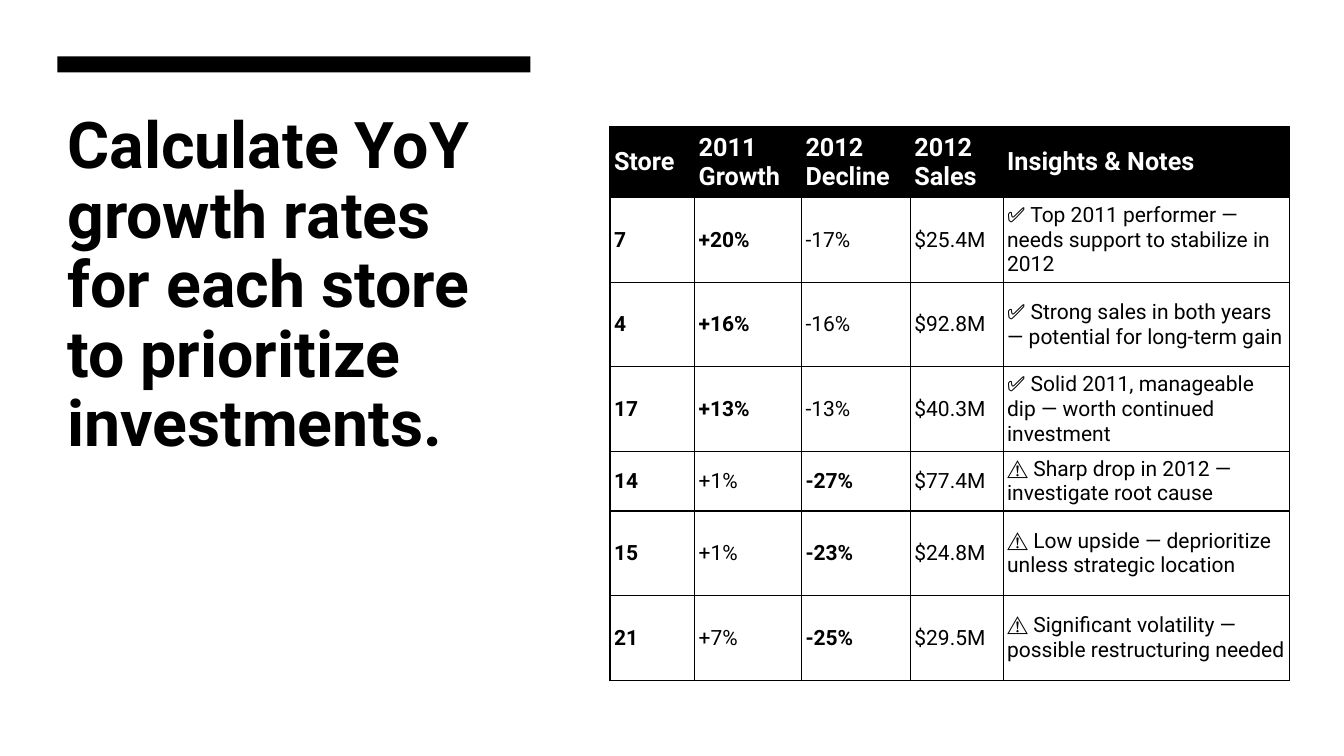
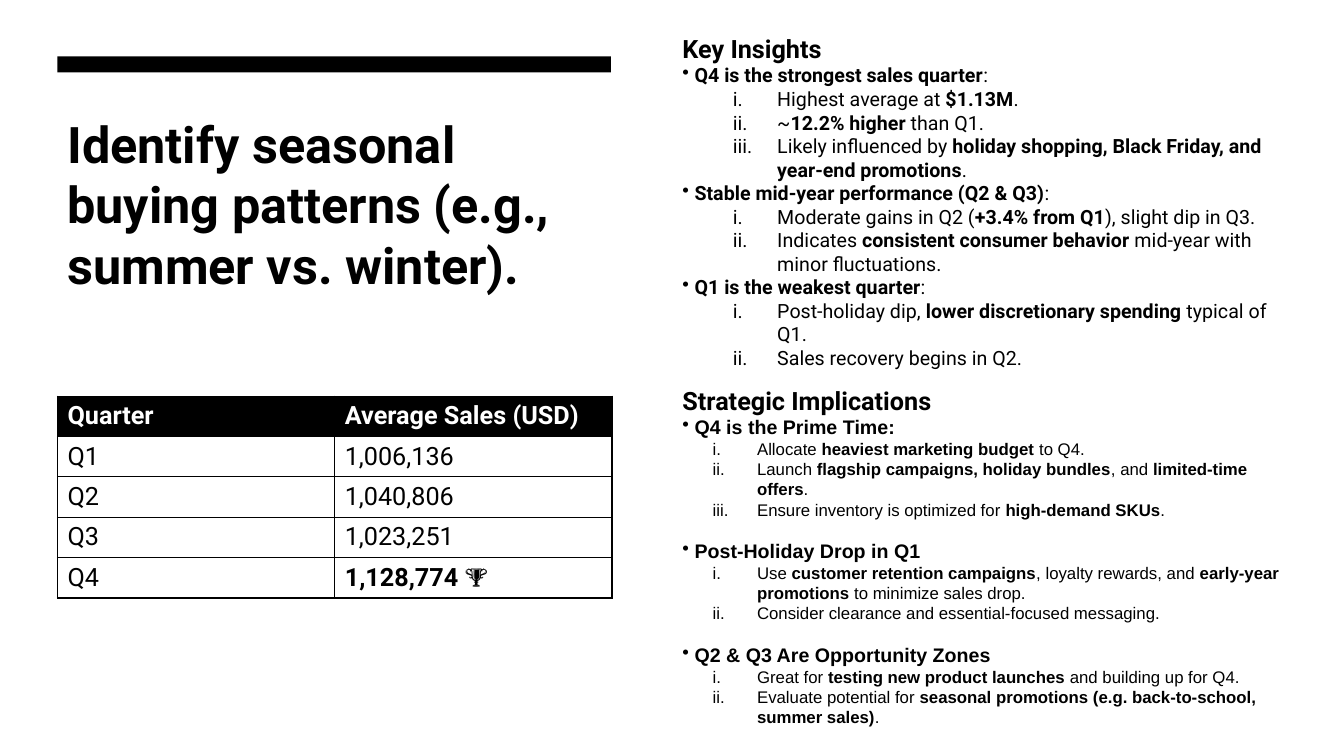
from pptx import Presentation
from pptx.dml.color import RGBColor
from pptx.enum.shapes import MSO_SHAPE as Shape
from pptx.enum.text import MSO_ANCHOR as Anchor
from pptx.oxml import parse_xml
from pptx.oxml.ns import nsdecls
from pptx.util import Pt

EMU_PER_PX = 9144
BLACK, WHITE = "000000", "FFFFFF"


def px(length):
    return length * EMU_PER_PX


def color(value):
    return RGBColor.from_string(value)


def write(para, text, size=18, font="Roboto", ink=BLACK, bold=False):
    for index, part in enumerate(text.split("**")):
        if not part:
            continue
        span = para.add_run()
        span.text = part
        span.font.size = Pt(size)
        span.font.name = font
        span.font.color.rgb = color(ink)
        span.font.bold = bold or index % 2 == 1


def add_marker(para, tag, left, hang, level=0):
    para.level = level
    props = para._p.get_or_add_pPr()
    props.set("marL", str(px(left)))
    props.set("indent", str(px(-hang)))
    props.append(parse_xml(f"<a:{tag} {nsdecls('a')}/>"))


class Slides:
    left = 57
    bar_top, bar_height = 56, 16
    title_top = 107

    def __init__(self):
        self.deck = Presentation()
        self.deck.slide_width = px(1333)
        self.deck.slide_height = px(750)
        self.page = None

    def add_page(self, title, width, height, size, spacing=1.0):
        self.page = self.deck.slides.add_slide(self.deck.slide_layouts[6])
        self.add_bar(width)
        frame = self.add_frame(self.left, self.title_top, width, height)
        para = frame.paragraphs[0]
        para.line_spacing = spacing
        write(para, title, size=size, bold=True)

    def add_bar(self, width):
        bar = self.page.shapes.add_shape(
            Shape.RECTANGLE, px(self.left), px(self.bar_top), px(width), px(self.bar_height))
        bar.shadow.inherit = False
        bar.fill.solid()
        bar.fill.fore_color.rgb = color(BLACK)
        bar.line.fill.background()

    def add_frame(self, left, top, width, height, anchor=Anchor.TOP):
        box = self.page.shapes.add_textbox(px(left), px(top), px(width), px(height))
        frame = box.text_frame
        frame.word_wrap = True
        frame.vertical_anchor = anchor
        return frame

    def add_outline(self, frame, heading, groups, font, item_size, item_left, gap=0):
        write(frame.paragraphs[0], heading, bold=True)
        for index, (topic, items) in enumerate(groups):
            para = frame.add_paragraph()
            para.space_before = Pt(gap if index else 0)
            add_marker(para, 'buChar char="•"', 12, 12)
            write(para, topic, size=14, font=font)
            for item in items:
                para = frame.add_paragraph()
                add_marker(para, 'buAutoNum type="romanLcPeriod"', item_left, 44, level=1)
                write(para, item, size=item_size, font=font)

    def add_table(self, left, top, columns, heights, rows, size, margins=None):
        table = self.page.shapes.add_table(
            len(rows), len(columns), px(left), px(top), px(sum(columns)), px(sum(heights))).table
        table.first_row = table.horz_banding = False
        for column, width in zip(table.columns, columns):
            column.width = px(width)
        for row, height in zip(table.rows, heights):
            row.height = px(height)
        for r, values in enumerate(rows):
            for c, value in enumerate(values):
                self.fill_cell(table.cell(r, c), value, r == 0, size, margins)

    def fill_cell(self, cell, text, header, size, margins):
        cell.vertical_anchor = Anchor.MIDDLE
        if margins:
            side, edge = margins
            cell.margin_left = cell.margin_right = px(side)
            cell.margin_top = cell.margin_bottom = px(edge)
        props = cell._tc.get_or_add_tcPr()
        for side in "LRTB":
            props.append(parse_xml(
                f'<a:ln{side} {nsdecls("a")} w="{Pt(1)}"><a:solidFill>'
                f'<a:srgbClr val="{BLACK}"/></a:solidFill></a:ln{side}>'))
        cell.fill.solid()
        cell.fill.fore_color.rgb = color(BLACK if header else WHITE)
        write(cell.text_frame.paragraphs[0], text, size=18 if header else size,
              ink=WHITE if header else BLACK, bold=header)


STORES = [
    ("Store", "2011 Growth", "2012 Decline", "2012 Sales", "Insights & Notes"),
    ("**7**", "**+20%**", "-17%", "$25.4M",
     "✅ Top 2011 performer — needs support to stabilize in 2012"),
    ("**4**", "**+16%**", "-16%", "$92.8M",
     "✅ Strong sales in both years — potential for long-term gain"),
    ("**17**", "**+13%**", "-13%", "$40.3M",
     "✅ Solid 2011, manageable dip — worth continued investment"),
    ("**14**", "+1%", "**-27%**", "$77.4M",
     "⚠️ Sharp drop in 2012 — investigate root cause"),
    ("**15**", "+1%", "**-23%**", "$24.8M",
     "⚠️ Low upside — deprioritize unless strategic location"),
    ("**21**", "+7%", "**-25%**", "$29.5M",
     "⚠️ Significant volatility — possible restructuring needed"),
]

QUARTERS = [
    ("Quarter", "Average Sales (USD)"),
    ("Q1", "1,006,136"),
    ("Q2", "1,040,806"),
    ("Q3", "1,023,251"),
    ("Q4", "**1,128,774** 🏆"),
]

INSIGHTS = [
    ("**Q4 is the strongest sales quarter**:", [
        "Highest average at **$1.13M**.",
        "~**12.2% higher** than Q1.",
        "Likely influenced by **holiday shopping, Black Friday, and year-end promotions**.",
    ]),
    ("**Stable mid-year performance (Q2 & Q3)**:", [
        "Moderate gains in Q2 (**+3.4% from Q1**), slight dip in Q3.",
        "Indicates **consistent consumer behavior** mid-year with minor fluctuations.",
    ]),
    ("**Q1 is the weakest quarter**:", [
        "Post-holiday dip, **lower discretionary spending** typical of Q1.",
        "Sales recovery begins in Q2.",
    ]),
]

IMPLICATIONS = [
    ("**Q4 is the Prime Time:**", [
        "Allocate **heaviest marketing budget** to Q4.",
        "Launch **flagship campaigns, holiday bundles**, and **limited-time offers**.",
        "Ensure inventory is optimized for **high-demand SKUs**.",
    ]),
    ("**Post-Holiday Drop in Q1**", [
        "Use **customer retention campaigns**, loyalty rewards, and "
        "**early-year promotions** to minimize sales drop.",
        "Consider clearance and essential-focused messaging.",
    ]),
    ("**Q2 & Q3 Are Opportunity Zones**", [
        "Great for **testing new product launches** and building up for Q4.",
        "Evaluate potential for **seasonal promotions (e.g. back-to-school, summer sales)**.",
    ]),
]


def main():
    slides = Slides()

    slides.add_page("Calculate YoY growth rates for each store to prioritize investments.",
                    469, 368, 46, spacing=0.9)
    slides.add_table(605, 126, [84, 106, 108, 92, 284], [70, 84, 84, 84, 59, 84, 84],
                     STORES, 15, margins=(4, 2))

    slides.add_page("Identify seasonal buying patterns (e.g., summer vs. winter).",
                    549, 216, 36)
    slides.add_table(slides.left, 393, [275, 275], [40] * len(QUARTERS), QUARTERS, 18)
    insights = slides.add_frame(667, 28, 628, 347)
    slides.add_outline(insights, "Key Insights", INSIGHTS, "Roboto", 14, 94)
    implications = slides.add_frame(667, 375, 628, 353, anchor=Anchor.MIDDLE)
    slides.add_outline(implications, "Strategic Implications", IMPLICATIONS,
                       "Arial", 12, 74, gap=14)

    slides.deck.save("out.pptx")


if __name__ == "__main__":
    main()
